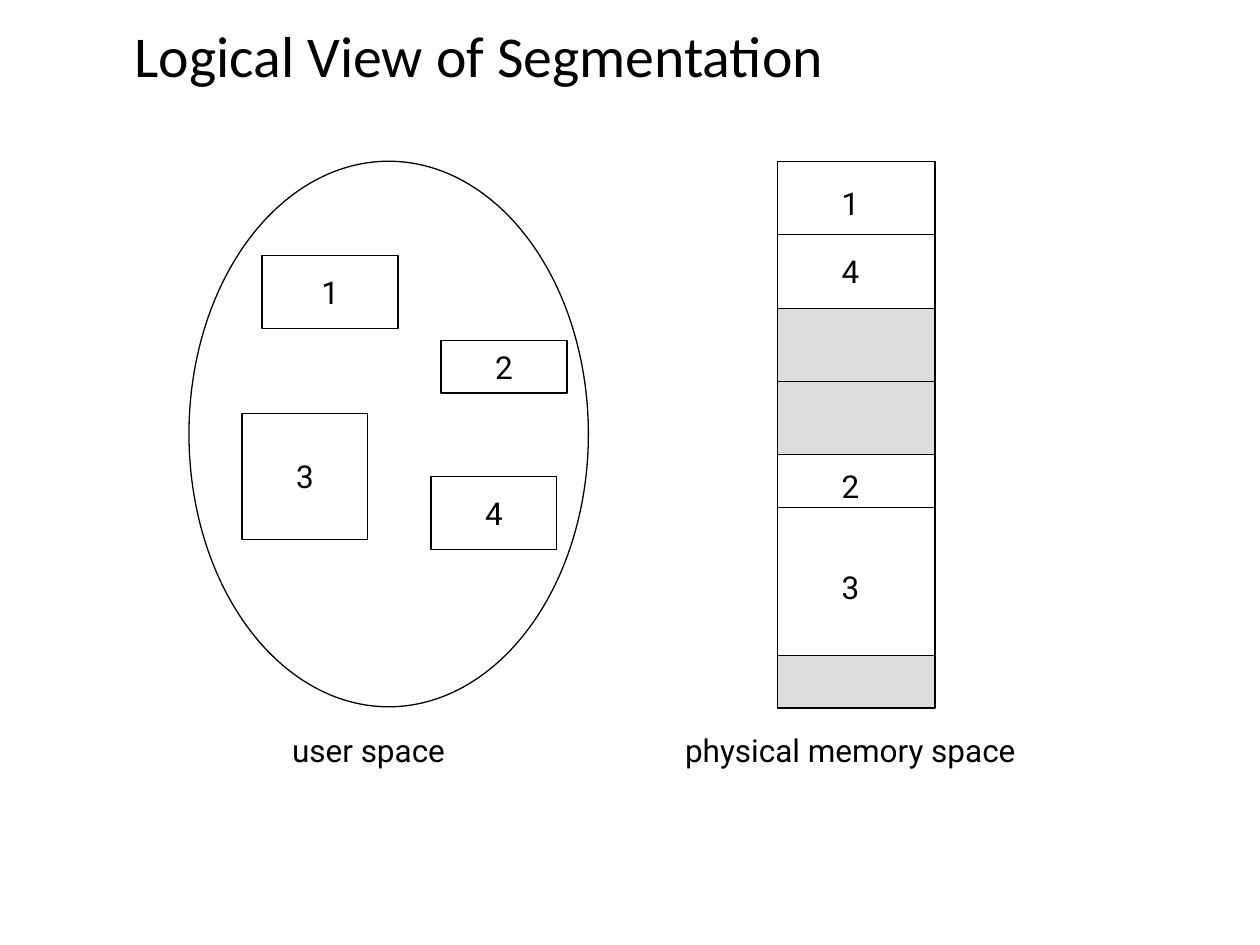
from lxml import etree
from pptx import Presentation
from pptx.dml.color import RGBColor
from pptx.enum import shapes, text
from pptx.oxml import ns
from pptx.util import Inches, Pt

BLACK = RGBColor(0x00, 0x00, 0x00)
WHITE = RGBColor(0xFF, 0xFF, 0xFF)
GRAY = RGBColor(0xDD, 0xDD, 0xDD)

TITLE = "Logical View of Segmentation"
USER_SPACE = (1.5, 1.28, 3.17, 4.33)
SEGMENTS = [
    ("1", 2.08, 2.03, 1.08, 0.58),
    ("3", 1.92, 3.28, 1, 1),
    ("2", 3.5, 2.7, 1, 0.42),
    ("4", 3.42, 3.78, 1, 0.58),
]
MEMORY_LEFT, MEMORY_TOP, MEMORY_WIDTH = 6.17, 1.28, 1.25
MEMORY_BLOCKS = [(1.17, WHITE), (1.16, GRAY), (1.59, WHITE), (0.42, GRAY)]
DIVIDERS = [1.86, 3.03, 4.03]
LABEL_HEIGHT = 0.4
LABELS = [
    ("1", 6.58, 1.41, 0.34),
    ("4", 6.58, 1.95, 0.34),
    ("2", 6.58, 3.66, 0.34),
    ("3", 6.58, 4.46, 0.34),
    ("user space", 2.17, 5.75, 1.51),
    ("physical memory space", 5.33, 5.75, 2.84),
]

prs = Presentation()
prs.slide_width, prs.slide_height = Inches(10), Inches(7.5)
slide = prs.slides.add_slide(prs.slide_layouts[6])


def write(holder, words, size=18, font="Roboto", align=text.PP_ALIGN.CENTER, wrap=False):
    frame = holder.text_frame
    frame.word_wrap = wrap
    frame.vertical_anchor = text.MSO_ANCHOR.MIDDLE
    paragraph = frame.paragraphs[0]
    paragraph.text = words
    paragraph.alignment = align
    paragraph.font.size = Pt(size)
    paragraph.font.name = font
    paragraph.font.color.rgb = BLACK
    return paragraph


def add_outlined(kind, bounds, fill=WHITE):
    outlined = slide.shapes.add_shape(kind, *map(Inches, bounds))
    outlined.shadow.inherit = False
    outlined.fill.solid()
    outlined.fill.fore_color.rgb = fill
    outlined.line.color.rgb = BLACK
    outlined.line.width = Pt(0.75)
    return outlined


def add_divider(y):
    divider = slide.shapes.add_connector(
        shapes.MSO_CONNECTOR.STRAIGHT,
        Inches(MEMORY_LEFT), Inches(y),
        Inches(MEMORY_LEFT + MEMORY_WIDTH), Inches(y))
    divider.line.color.rgb = BLACK
    divider.line.width = Pt(0.75)
    etree.SubElement(divider._element.spPr, ns.qn("a:effectLst"))


title = slide.shapes.add_textbox(*map(Inches, (0.97, 0.15, 8.53, 0.63)))
write(title, TITLE, 33, "Calibri", text.PP_ALIGN.LEFT, True).line_spacing = 0.9

add_outlined(shapes.MSO_SHAPE.OVAL, USER_SPACE)
for number, *bounds in SEGMENTS:
    write(add_outlined(shapes.MSO_SHAPE.RECTANGLE, bounds), number)

block_top = MEMORY_TOP
for height, fill in MEMORY_BLOCKS:
    add_outlined(shapes.MSO_SHAPE.RECTANGLE,
                 (MEMORY_LEFT, block_top, MEMORY_WIDTH, height), fill)
    block_top += height
for y in DIVIDERS:
    add_divider(y)

for words, left, top, width in LABELS:
    label = slide.shapes.add_textbox(*map(Inches, (left, top, width, LABEL_HEIGHT)))
    write(label, words)

prs.save("out.pptx")
